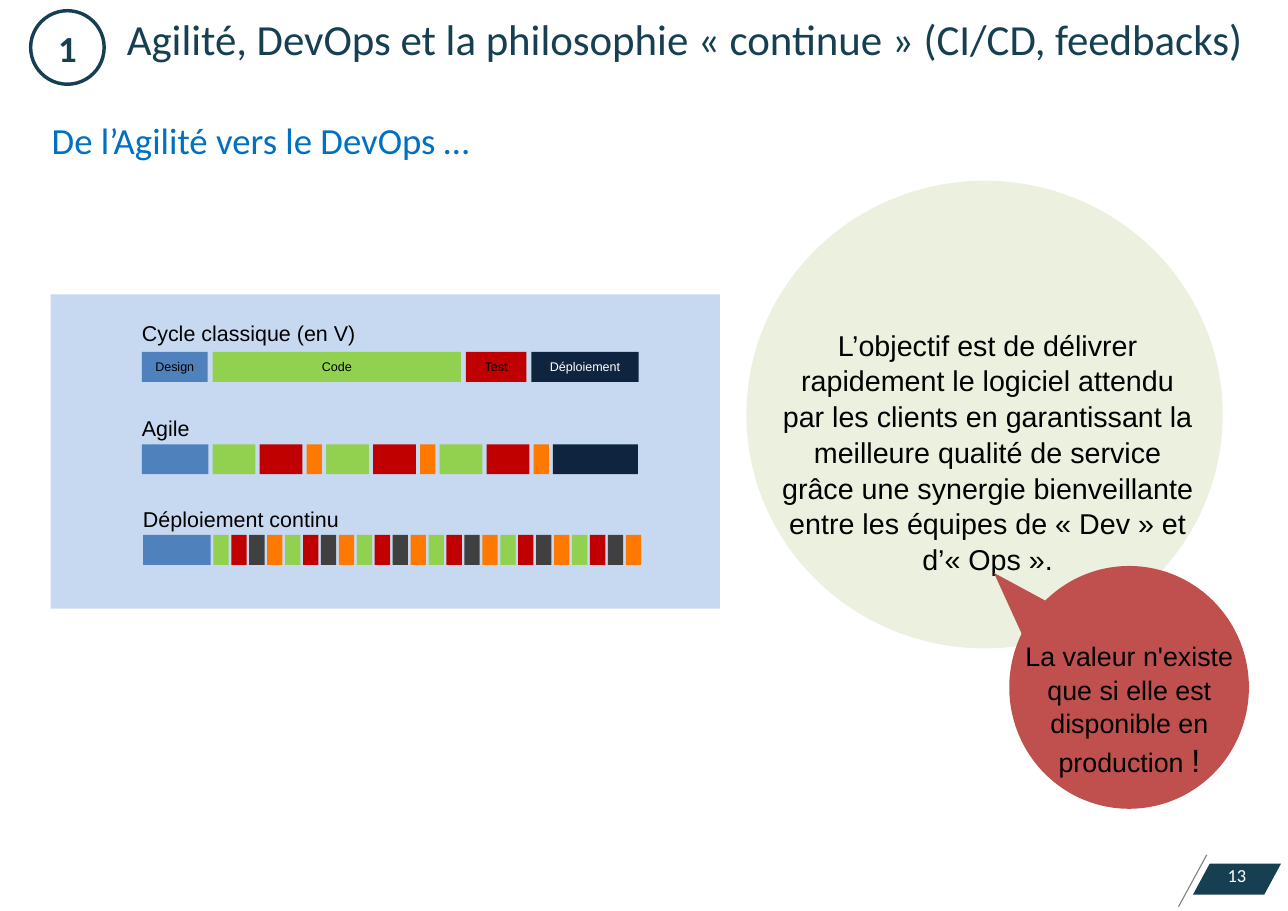
from lxml import etree
from pptx import Presentation
from pptx.dml.color import RGBColor
from pptx.enum import shapes, text
from pptx.oxml import ns
from pptx.util import Pt

COLORS = {
    "navy": "164052", "blue": "0070C0", "black": "000000", "white": "FFFFFF",
    "grey": "828385", "panel": "C6D9F1", "pale": "EBF1DE", "brick": "C0504D",
    "design": "4F81BD", "code": "92D050", "test": "C00000",
    "deploy": "0F243E", "package": "404040", "feedback": "FF7900",
}
CENTER = text.PP_ALIGN.CENTER
LEFT = text.PP_ALIGN.LEFT
BAR_HEIGHT = 19.6


def color(name):
    return RGBColor.from_string(COLORS[name])


def paint(shape, fill=None, line=None, line_width=1):
    shape.shadow.inherit = False
    if fill:
        shape.fill.solid()
        shape.fill.fore_color.rgb = color(fill)
    else:
        shape.fill.background()
    if line:
        shape.line.color.rgb = color(line)
        shape.line.width = Pt(line_width)
    else:
        shape.line.fill.background()


def add_figure(slide, kind, box, fill=None, line=None, line_width=1):
    shape = slide.shapes.add_shape(kind, *map(Pt, box))
    paint(shape, fill, line, line_width)
    return shape


def write(shape, content, size, font="Arial", ink="black", align=LEFT,
          anchor=text.MSO_ANCHOR.TOP, bold=False, spacing=None, wrap=True):
    frame = shape.text_frame
    frame.text = content
    frame.word_wrap = wrap
    frame.auto_size = text.MSO_AUTO_SIZE.NONE
    frame.vertical_anchor = anchor
    frame.margin_left = frame.margin_right = Pt(0)
    frame.margin_top = frame.margin_bottom = Pt(0)
    for paragraph in frame.paragraphs:
        paragraph.alignment = align
        if spacing:
            paragraph.line_spacing = spacing
        for run in paragraph.runs:
            run.font.name = font
            run.font.size = Pt(size)
            run.font.bold = bold
            run.font.color.rgb = color(ink)


def add_text(slide, box, content, size, **style):
    shape = slide.shapes.add_textbox(*map(Pt, box))
    write(shape, content, size, **style)
    return shape


def add_header(slide, left, top, width):
    badge = add_figure(slide, shapes.MSO_SHAPE.OVAL, (left, top, 48, 48),
                       line="navy", line_width=2.25)
    write(badge, "1", 24, font="Calibri", ink="navy", bold=True, align=CENTER,
          anchor=text.MSO_ANCHOR.MIDDLE, wrap=False)
    add_text(slide, (left + 62.8, top + 1.5, width - 62.8, 35),
             "Agilité, DevOps et la philosophie « continue » (CI/CD, feedbacks)",
             28, font="Calibri", ink="navy")
    title = slide.shapes.title
    title.left, title.top = Pt(left + 13.8), Pt(top + 70)
    title.width, title.height = Pt(width - 16), Pt(29)
    write(title, "De l’Agilité vers le DevOps …", 24, font="Calibri", ink="blue")


def add_cycle(slide, left, top, label, label_gap, gap, segments):
    add_text(slide, (left, top - label_gap, 180, 17), label, 14)
    for fill, width, caption in segments:
        bar = add_figure(slide, shapes.MSO_SHAPE.RECTANGLE,
                         (left, top, width, BAR_HEIGHT), fill)
        if caption:
            write(bar, caption, 8.2, align=CENTER, anchor=text.MSO_ANCHOR.MIDDLE,
                  ink="white" if fill == "deploy" else "black")
        left += width + gap


def add_cycles_panel(slide, left, top, width, height):
    add_figure(slide, shapes.MSO_SHAPE.RECTANGLE, (left, top, width, height), "panel")
    classic = [("design", 43, "Design"), ("code", 162, "Code"),
               ("test", 39.5, "Test"), ("deploy", 70, "Déploiement")]
    sprint = [("code", 28, ""), ("test", 28, ""), ("feedback", 10, "")]
    agile = [("design", 43.5, "")] + sprint * 3 + [("deploy", 55.5, "")]
    loop = [(step, 10, "") for step in ("code", "test", "package", "feedback")]
    continuous = [("design", 44.2, "")] + loop * 6
    add_cycle(slide, left + 59.5, top + 37.5, "Cycle classique (en V)", 20.5, 3.3, classic)
    add_cycle(slide, left + 59.5, top + 97.8, "Agile", 19.3, 2.7, agile)
    add_cycle(slide, left + 60.3, top + 157, "Déploiement continu", 18.7, 1.71, continuous)


def add_objective(slide, left, top, width, height):
    add_figure(slide, shapes.MSO_SHAPE.OVAL, (left, top, width, height), "pale")
    add_text(slide, (left + 22, top + 95, 271, 160),
             "L’objectif est de délivrer rapidement le logiciel attendu par les clients "
             "en garantissant la meilleure qualité de service\n"
             "grâce une synergie bienveillante entre les équipes de « Dev » et d’« Ops ».",
             18.7, align=CENTER, spacing=1.04)


def add_value_callout(slide, left, top, width, height):
    add_figure(slide, shapes.MSO_SHAPE.OVAL, (left, top, width, height), "brick")
    builder = slide.shapes.build_freeform(Pt(left - 10), Pt(top + 4.5))
    builder.add_line_segments([(Pt(left + 33), Pt(top + 27.7)),
                               (Pt(left + 11.8), Pt(top + 52.3))], close=True)
    paint(builder.convert_to_shape(), "brick")
    message = add_text(slide, (left + 5, top + 47.5, 147, 90),
                       "La valeur n'existe que si elle est disponible en production ",
                       17.5, align=CENTER, spacing=1.04)
    mark = message.text_frame.paragraphs[0].add_run()
    mark.text = "!"
    mark.font.name = "Arial"
    mark.font.size = Pt(21)
    mark.font.color.rgb = color("black")


def add_page_number(slide, left, top, width, height):
    stroke = slide.shapes.add_connector(
        shapes.MSO_CONNECTOR.STRAIGHT, Pt(left + 18.5), Pt(top), Pt(left), Pt(top + height))
    stroke.line.color.rgb = color("grey")
    stroke.line.width = Pt(0.75)
    properties = stroke.element.find(ns.qn("p:spPr"))
    etree.SubElement(properties, ns.qn("a:effectLst"))
    tab = add_figure(slide, shapes.MSO_SHAPE.PARALLELOGRAM,
                     (left + 9.5, top + 5.8, width - 9.5, 20.2), "navy")
    tab.adjustments[0] = 0.54
    write(tab, "13", 12, font="Calibri", ink="white", align=CENTER,
          anchor=text.MSO_ANCHOR.MIDDLE, wrap=False)
    tab.text_frame.margin_bottom = Pt(5)


def main():
    presentation = Presentation()
    presentation.slide_width, presentation.slide_height = Pt(841), Pt(594.7)
    slide = presentation.slides.add_slide(presentation.slide_layouts[5])
    add_page_number(slide, 769.5, 558, 67, 34)
    add_header(slide, 20, 7, 800)
    add_objective(slide, 487.4, 118, 311, 305.3)
    add_cycles_panel(slide, 33.1, 192.2, 437, 205.2)
    add_value_callout(slide, 659, 369.5, 156.5, 158.5)
    presentation.save("out.pptx")


if __name__ == "__main__":
    main()
